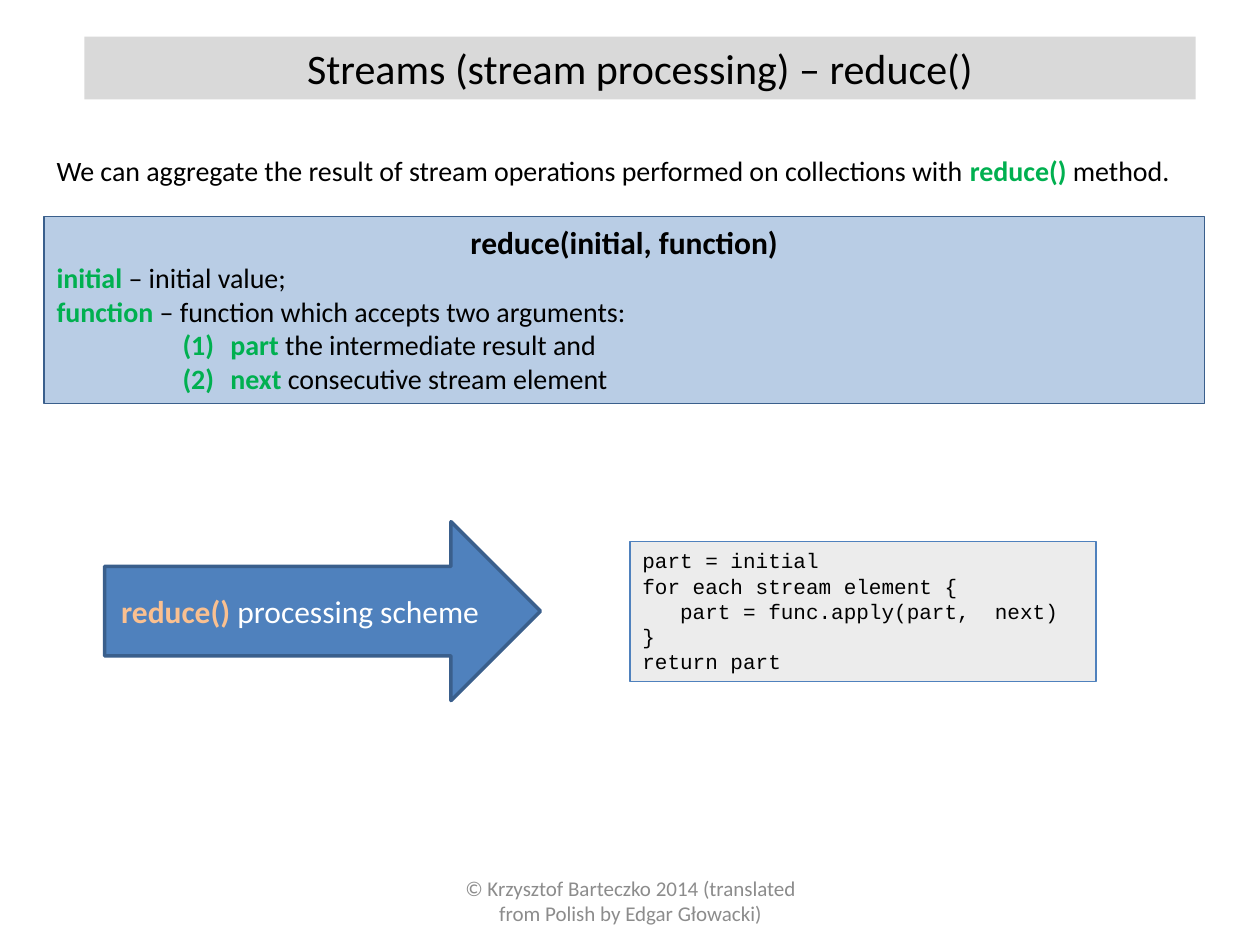
from dataclasses import dataclass

from lxml.etree import SubElement
from pptx import Presentation
from pptx.dml.color import RGBColor
from pptx.enum.shapes import MSO_SHAPE
from pptx.enum.text import MSO_ANCHOR, MSO_AUTO_SIZE, PP_ALIGN
from pptx.oxml.ns import qn
from pptx.util import Inches, Pt


@dataclass(frozen=True)
class Theme:
    body_font: str = "Calibri"
    code_font: str = "Courier New"
    black: str = "000000"
    white: str = "FFFFFF"
    muted: str = "8C8C8C"
    green: str = "00B050"
    peach: str = "FAC090"
    gray: str = "D9D9D9"
    blue: str = "4F81BD"
    dark_blue: str = "3A5F8C"
    pale_blue: str = "B9CDE5"
    title: int = 24
    heading: int = 18
    body: int = 16
    small: int = 12


THEME = Theme()
COLUMNS, ROWS = 100, 75


def span(text, **style):
    """Pair a piece of text with its format: color, size, bold, font."""
    return text, style


def keyword(text):
    return span(text, color=THEME.green, bold=True)


def paragraph(*spans, **options):
    return {"spans": spans, **options}


def number_paragraph(para):
    """Number a paragraph as (1), (2) with a hanging indent."""
    para.level = 2
    properties = para._p.get_or_add_pPr()
    properties.set("marL", str(Inches(1.38)))
    properties.set("indent", str(Inches(-0.38)))
    SubElement(properties, qn("a:buFont"), typeface="+mj-lt")
    SubElement(properties, qn("a:buAutoNum"), type="arabicParenBoth")


class SlideBuilder:
    def __init__(self, deck, theme):
        self.theme = theme
        self.page = deck.slides.add_slide(deck.slide_layouts[6])
        self.column = deck.slide_width / COLUMNS
        self.row = deck.slide_height / ROWS

    def place(self, left, top, width, height):
        return (round(left * self.column), round(top * self.row),
                round(width * self.column), round(height * self.row))

    def add_text(self, area, paragraphs, **style):
        box = self.page.shapes.add_textbox(*self.place(*area))
        self.fill_text(box, paragraphs, **style)

    def add_box(self, kind, area, paragraphs, fill, line=None, weight=0.75,
                alpha=None, **style):
        box = self.page.shapes.add_shape(kind, *self.place(*area))
        box.shadow.inherit = False
        box.fill.solid()
        box.fill.fore_color.rgb = RGBColor.from_string(fill)
        if alpha is not None:
            color = box._element.spPr.find(qn("a:solidFill"))[0]
            SubElement(color, qn("a:alpha"), val=str(alpha * 1000))
        if line:
            box.line.color.rgb = RGBColor.from_string(line)
            box.line.width = Pt(weight)
        else:
            box.line.fill.background()
        self.fill_text(box, paragraphs, **style)

    def fill_text(self, box, paragraphs, align=PP_ALIGN.LEFT,
                  anchor=MSO_ANCHOR.TOP, grow=True, **base):
        frame = box.text_frame
        frame.word_wrap = True
        frame.vertical_anchor = anchor
        if grow:
            frame.auto_size = MSO_AUTO_SIZE.SHAPE_TO_FIT_TEXT
        for index, entry in enumerate(paragraphs):
            para = frame.paragraphs[0] if index == 0 else frame.add_paragraph()
            para.alignment = entry.get("align", align)
            if entry.get("numbered"):
                number_paragraph(para)
            for words, style in entry["spans"]:
                self.add_span(para, words, **{**base, **style})

    def add_span(self, para, words, size, color=None, bold=False, font=None):
        run = para.add_run()
        run.text = words
        run.font.name = font or self.theme.body_font
        run.font.size = Pt(size)
        run.font.bold = bold
        run.font.color.rgb = RGBColor.from_string(color or self.theme.black)


def main():
    deck = Presentation()
    deck.slide_width, deck.slide_height = Inches(10), Inches(7.5)
    builder = SlideBuilder(deck, THEME)

    # Footer
    builder.add_text(
        (34.2, 69.5, 31.7, 4),
        [paragraph(span("© Krzysztof Barteczko 2014 (translated from Polish by Edgar Głowacki)"))],
        size=THEME.small, color=THEME.muted, align=PP_ALIGN.CENTER,
        anchor=MSO_ANCHOR.MIDDLE, grow=False)

    # Title and introduction
    builder.add_box(
        MSO_SHAPE.RECTANGLE, (6.7, 2.9, 88.2, 5),
        [paragraph(span("Streams (stream processing) – reduce()"))],
        fill=THEME.gray, size=THEME.title, align=PP_ALIGN.CENTER)
    builder.add_text(
        (3.5, 11.7, 92.9, 3.7),
        [paragraph(
            span("We can aggregate the result of stream operations performed on collections with "),
            keyword("reduce()"), span(" method."))],
        size=THEME.body)

    # Pseudocode
    code = ["part = initial",
            "for each stream element {",
            "   part = func.apply(part,  next)",
            "}",
            "return part"]
    builder.add_box(
        MSO_SHAPE.RECTANGLE, (50, 43, 37, 11.1),
        [paragraph(span(line)) for line in code],
        fill=THEME.gray, alpha=48, line=THEME.blue,
        size=THEME.small, font=THEME.code_font)

    # Arrow leading to the pseudocode
    builder.add_box(
        MSO_SHAPE.RIGHT_ARROW, (8.3, 41.4, 34.6, 14.2),
        [paragraph(span("reduce()", color=THEME.peach, bold=True),
                   span(" processing scheme"))],
        fill=THEME.blue, line=THEME.dark_blue, weight=2,
        size=THEME.heading, color=THEME.white, align=PP_ALIGN.CENTER,
        anchor=MSO_ANCHOR.MIDDLE, grow=False)

    # Method signature and its arguments
    builder.add_box(
        MSO_SHAPE.RECTANGLE, (3.5, 17.2, 92.1, 14.8),
        [paragraph(span("reduce(initial, function)", size=THEME.heading, bold=True),
                   align=PP_ALIGN.CENTER),
         paragraph(keyword("initial "), span("– initial value;")),
         paragraph(keyword("function"),
                   span(" – function which accepts two arguments:")),
         paragraph(keyword("part"), span(" the intermediate result and"),
                   numbered=True),
         paragraph(keyword("next"), span(" consecutive stream element"),
                   numbered=True)],
        fill=THEME.pale_blue, line=THEME.dark_blue, size=THEME.body)

    deck.save("out.pptx")


if __name__ == "__main__":
    main()
